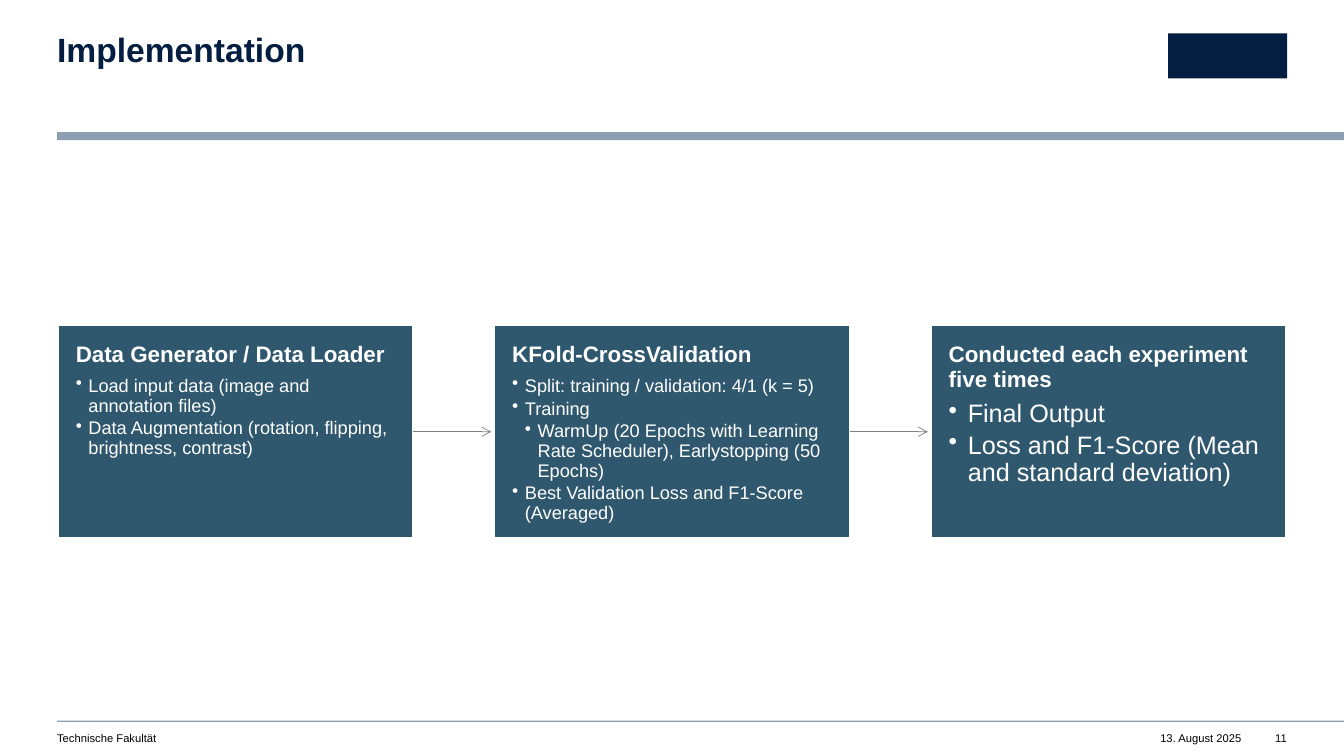
from dataclasses import dataclass

from lxml.etree import SubElement
from pptx import Presentation
from pptx.dml.color import RGBColor
from pptx.enum.shapes import MSO_CONNECTOR, MSO_SHAPE
from pptx.enum.text import MSO_ANCHOR, MSO_AUTO_SIZE, PP_ALIGN
from pptx.oxml.ns import qn
from pptx.util import Cm, Pt


@dataclass(frozen=True)
class Theme:
    font: str = "Arial"
    navy: str = "041E42"
    steel: str = "8C9FB1"
    teal: str = "2F586E"
    gray: str = "7F7F7F"
    white: str = "FFFFFF"
    black: str = "000000"
    title: int = 24
    head: int = 16
    large: int = 18
    small: int = 13
    foot: int = 8


theme = Theme()


def style(par, size, color, bold=False):
    for run in par.runs:
        run.font.name = theme.font
        run.font.size = Pt(size)
        run.font.bold = bold
        run.font.color.rgb = RGBColor.from_string(color)


def add_box(left, top, width, height, color):
    """Add a flat filled rectangle without an outline; lengths in cm."""
    box = slide.shapes.add_shape(
        MSO_SHAPE.RECTANGLE, Cm(left), Cm(top), Cm(width), Cm(height))
    box.shadow.inherit = False
    box.fill.solid()
    box.fill.fore_color.rgb = RGBColor.from_string(color)
    box.line.fill.background()
    return box


deck = Presentation()
deck.slide_width, deck.slide_height = Cm(33.87), Cm(19.05)
slide = deck.slides.add_slide(deck.slide_layouts[5])

# Header and footer rules, and a plain block in the top right corner
margin = 1.44
add_box(margin, 3.33, 32.43, 0.2, theme.steel)
add_box(margin, 18.16, 32.43, 0.03, theme.steel)
add_box(29.44, 0.84, 3, 1.14, theme.navy)

# Title
title = slide.shapes.title
title.left, title.top, title.width, title.height = (
    Cm(margin), Cm(0.84), Cm(19.02), Cm(0.91))
frame = title.text_frame
frame.text = "Implementation"
frame.auto_size = MSO_AUTO_SIZE.NONE
frame.vertical_anchor = MSO_ANCHOR.TOP
frame.margin_left = frame.margin_right = frame.margin_top = frame.margin_bottom = 0
par = frame.paragraphs[0]
par.alignment = PP_ALIGN.LEFT
par.line_spacing = 0.9
style(par, theme.title, theme.navy, True)

# Footer
for text, left, width, align in [
    ("Technische Fakultät", margin, 15.19, PP_ALIGN.LEFT),
    ("13. August 2025", 28.93, 2.36, PP_ALIGN.RIGHT),
    ("11", 31.9, 0.53, PP_ALIGN.RIGHT),
]:
    note = slide.shapes.add_textbox(Cm(left), Cm(18.44), Cm(width), Cm(0.33))
    frame = note.text_frame
    frame.word_wrap = True
    frame.margin_left = frame.margin_right = frame.margin_top = frame.margin_bottom = 0
    frame.text = text
    frame.paragraphs[0].alignment = align
    style(frame.paragraphs[0], theme.foot, theme.black)

# Steps: heading, bullet size, hanging indent, (level, text) of each bullet
steps = [
    ("Data Generator / Data Loader", theme.small, 0.32, [
        (1, "Load input data (image and annotation files)"),
        (1, "Data Augmentation (rotation, flipping, brightness, contrast)"),
    ]),
    ("KFold-CrossValidation", theme.small, 0.32, [
        (1, "Split: training / validation: 4/1 (k = 5)"),
        (1, "Training"),
        (2, "WarmUp (20 Epochs with Learning Rate Scheduler), "
            "Earlystopping (50 Epochs)"),
        (1, "Best Validation Loss and F1-Score (Averaged)"),
    ]),
    ("Conducted each experiment five times", theme.large, 0.48, [
        (1, "Final Output"),
        (1, "Loss and F1-Score (Mean and standard deviation)"),
    ]),
]
first, top, width, height, pitch = 1.47, 8.2, 8.94, 5.36, 11
middle = top + height / 2

for index, (head, size, indent, items) in enumerate(steps):
    left = first + index * pitch
    card = add_box(left, top, width, height, theme.teal)
    card.line.color.rgb = RGBColor.from_string(theme.white)
    card.line.width = Pt(1)
    frame = card.text_frame
    frame.word_wrap = True
    frame.vertical_anchor = MSO_ANCHOR.TOP
    frame.margin_left = frame.margin_right = Cm(0.44)
    frame.margin_top = frame.margin_bottom = Cm(0.46)
    frame.text = head
    par = frame.paragraphs[0]
    par.alignment = PP_ALIGN.LEFT
    par.line_spacing = 0.9
    par.space_after = Pt(6.5)
    style(par, theme.head, theme.white, True)

    for level, text in items:
        par = frame.add_paragraph()
        par.text = text
        par.level = level
        par.alignment = PP_ALIGN.LEFT
        par.line_spacing = 0.9
        par.space_after = Pt(size * 0.16)
        props = par._p.get_or_add_pPr()
        props.set("marL", str(Cm(indent * level)))
        props.set("indent", str(-Cm(indent)))
        SubElement(props, qn("a:buChar")).set("char", "•")
        style(par, size, theme.white)

    if index < len(steps) - 1:
        start = left + width
        arrow = slide.shapes.add_connector(
            MSO_CONNECTOR.STRAIGHT,
            Cm(start), Cm(middle), Cm(start + 1.97), Cm(middle))
        arrow.line.color.rgb = RGBColor.from_string(theme.gray)
        arrow.line.width = Pt(0.5)
        SubElement(arrow.line._get_or_add_ln(), qn("a:tailEnd")).set("type", "arrow")
        SubElement(arrow._element.spPr, qn("a:effectLst"))

deck.save("out.pptx")
